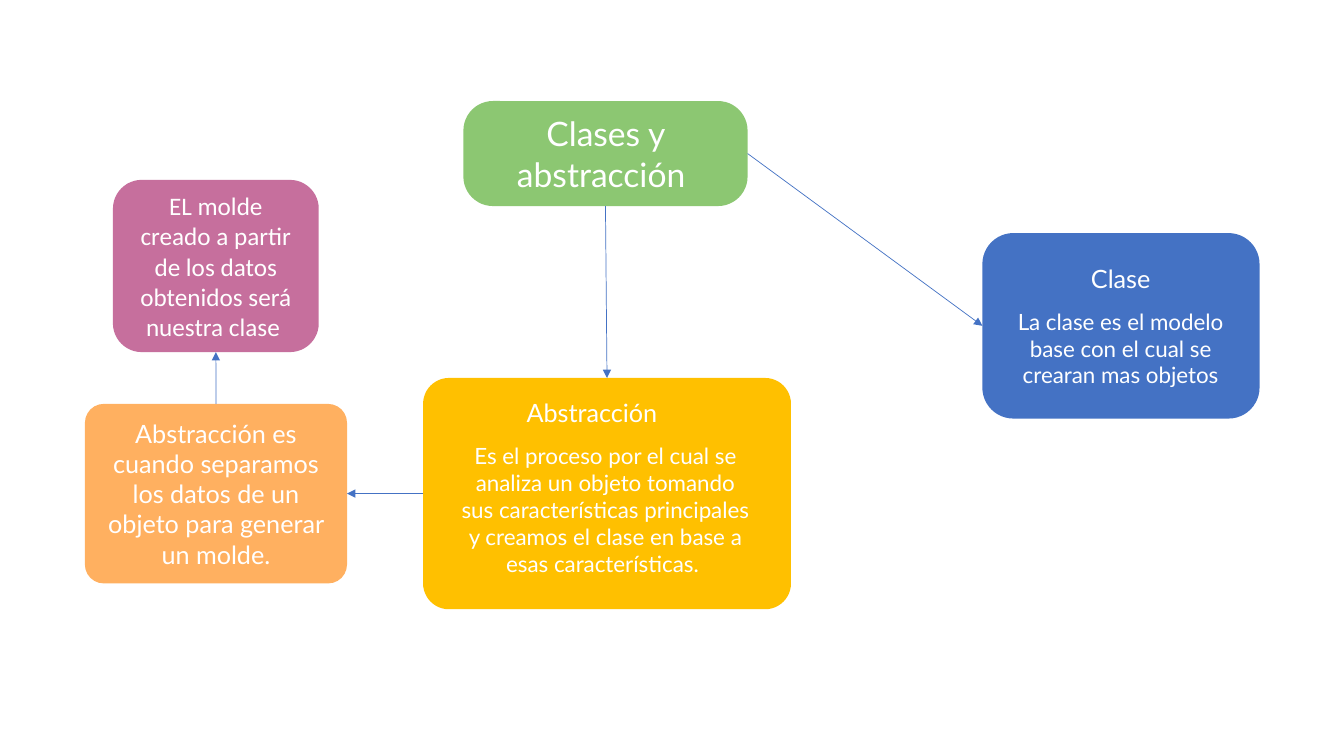
from dataclasses import dataclass

from lxml import etree
from pptx import Presentation
from pptx.dml.color import RGBColor
from pptx.enum.shapes import MSO_CONNECTOR, MSO_SHAPE
from pptx.enum.text import MSO_ANCHOR, MSO_AUTO_SIZE, PP_ALIGN
from pptx.oxml.ns import qn
from pptx.util import Pt

ROUNDED = MSO_SHAPE.ROUNDED_RECTANGLE
STRAIGHT = MSO_CONNECTOR.STRAIGHT
MIDDLE, UPPER = MSO_ANCHOR.MIDDLE, MSO_ANCHOR.TOP
CENTER = PP_ALIGN.CENTER
NO_FIT = MSO_AUTO_SIZE.NONE
TOP, LEFT, BOTTOM, RIGHT = range(4)  # connection sites of a rectangle


@dataclass(frozen=True)
class Theme:
    green: str = "8CC772"
    blue: str = "4472C4"
    amber: str = "FFC000"
    orange: str = "FFB060"
    pink: str = "C66F9D"
    white: str = "FFFFFF"
    font: str = "Lato"
    alternate_font: str = "Calibri"
    title_size: float = 24
    heading_size: float = 18
    body_size: float = 16
    line_width: float = 0.5


@dataclass(frozen=True)
class Area:
    left: float
    top: float
    width: float
    height: float

    def lengths(self) -> tuple:
        return Pt(self.left), Pt(self.top), Pt(self.width), Pt(self.height)


@dataclass(frozen=True)
class Node:
    name: str
    area: Area
    color: str
    rounding: float = 0.167
    text: str = ""
    font: str = "Lato"


@dataclass(frozen=True)
class Label:
    area: Area
    text: str
    size: float


@dataclass(frozen=True)
class Arrow:
    source: str
    source_site: int
    target: str
    target_site: int


THEME = Theme()
TITLE = Label(Area(338, 76.2, 189, 67), "Clases y abstracción ", THEME.title_size)

NODES = [
    Node("topic", Area(331, 72.2, 203, 75), THEME.green, 0.281),
    Node("class", Area(701.7, 166.5, 198, 132.5), THEME.blue),
    Node("abstraction", Area(302.2, 270, 262.8, 165.2), THEME.amber, 0.112),
    Node("data", Area(60.7, 288.5, 187.2, 128.2), THEME.orange, 0.105,
         "Abstracción es cuando separamos los datos de un objeto para generar un molde."),
    Node("mold", Area(80.7, 128.5, 147, 123), THEME.pink,
         text="EL molde creado a partir de los datos obtenidos será nuestra clase ",
         font=THEME.alternate_font),
]

LABELS = [
    Label(Area(725, 184.5, 151, 29), "Clase", THEME.heading_size),
    Label(Area(712.2, 216.3, 176.5, 65.5),
          "La clase es el modelo base con el cual se crearan mas objetos", THEME.body_size),
    Label(Area(354.3, 280.5, 137, 29), "Abstracción", THEME.heading_size),
    Label(Area(322, 312.5, 221, 104.5),
          "Es el proceso por el cual se analiza un objeto tomando sus características "
          "principales y creamos el clase en base a esas características. ", THEME.body_size),
]

ARROWS = [
    Arrow("topic", RIGHT, "class", LEFT),
    Arrow("topic", BOTTOM, "abstraction", TOP),
    Arrow("abstraction", LEFT, "data", RIGHT),
    Arrow("data", TOP, "mold", BOTTOM),
]


def apply_format(target, values: dict) -> None:
    for name, value in values.items():
        setattr(target, name, value)


def write_text(shape, text: str, size: float, font: str = THEME.font, anchor=MIDDLE) -> None:
    frame = shape.text_frame
    apply_format(frame, {"word_wrap": True, "auto_size": NO_FIT, "vertical_anchor": anchor})
    para = frame.paragraphs[0]
    para.alignment = CENTER
    span = para.add_run()
    span.text = text
    apply_format(span.font, {"name": font, "size": Pt(size)})
    span.font.color.rgb = RGBColor.from_string(THEME.white)


def draw_node(page, node: Node):
    box = page.shapes.add_shape(ROUNDED, *node.area.lengths())
    box.adjustments[0] = node.rounding
    box.shadow.inherit = False
    box.fill.solid()
    box.fill.fore_color.rgb = RGBColor.from_string(node.color)
    box.line.fill.background()
    if node.text:
        write_text(box, node.text, THEME.heading_size, node.font)
    return box


def draw_title(page) -> None:
    title = page.shapes.title
    sides = ("left", "top", "width", "height")
    apply_format(title, dict(zip(sides, TITLE.area.lengths())))
    margins = ("margin_left", "margin_top", "margin_right", "margin_bottom")
    apply_format(title.text_frame, dict.fromkeys(margins, Pt(0)))
    write_text(title, TITLE.text, TITLE.size)
    # Bring the title in front of its green box
    title._element.getparent().append(title._element)


def draw_label(page, label: Label) -> None:
    box = page.shapes.add_textbox(*label.area.lengths())
    write_text(box, label.text, label.size, anchor=UPPER)


def draw_arrow(page, arrow: Arrow, boxes: dict) -> None:
    connector = page.shapes.add_connector(STRAIGHT, 0, 0, 0, 0)
    connector.begin_connect(boxes[arrow.source], arrow.source_site)
    connector.end_connect(boxes[arrow.target], arrow.target_site)
    connector.line.width = Pt(THEME.line_width)
    connector.line.color.rgb = RGBColor.from_string(THEME.blue)
    properties = connector._element.spPr
    outline = properties.find(qn("a:ln"))
    etree.SubElement(outline, qn("a:tailEnd"), type="triangle")
    etree.SubElement(properties, qn("a:effectLst"))


def main() -> None:
    deck = Presentation()
    apply_format(deck, {"slide_width": Pt(960), "slide_height": Pt(540)})
    page = deck.slides.add_slide(deck.slide_layouts[5])  # title only

    # Boxes, then the text on them
    boxes = {node.name: draw_node(page, node) for node in NODES}
    draw_title(page)
    for label in LABELS:
        draw_label(page, label)

    # Arrows between the boxes
    for arrow in ARROWS:
        draw_arrow(page, arrow, boxes)

    deck.save("out.pptx")


if __name__ == "__main__":
    main()
